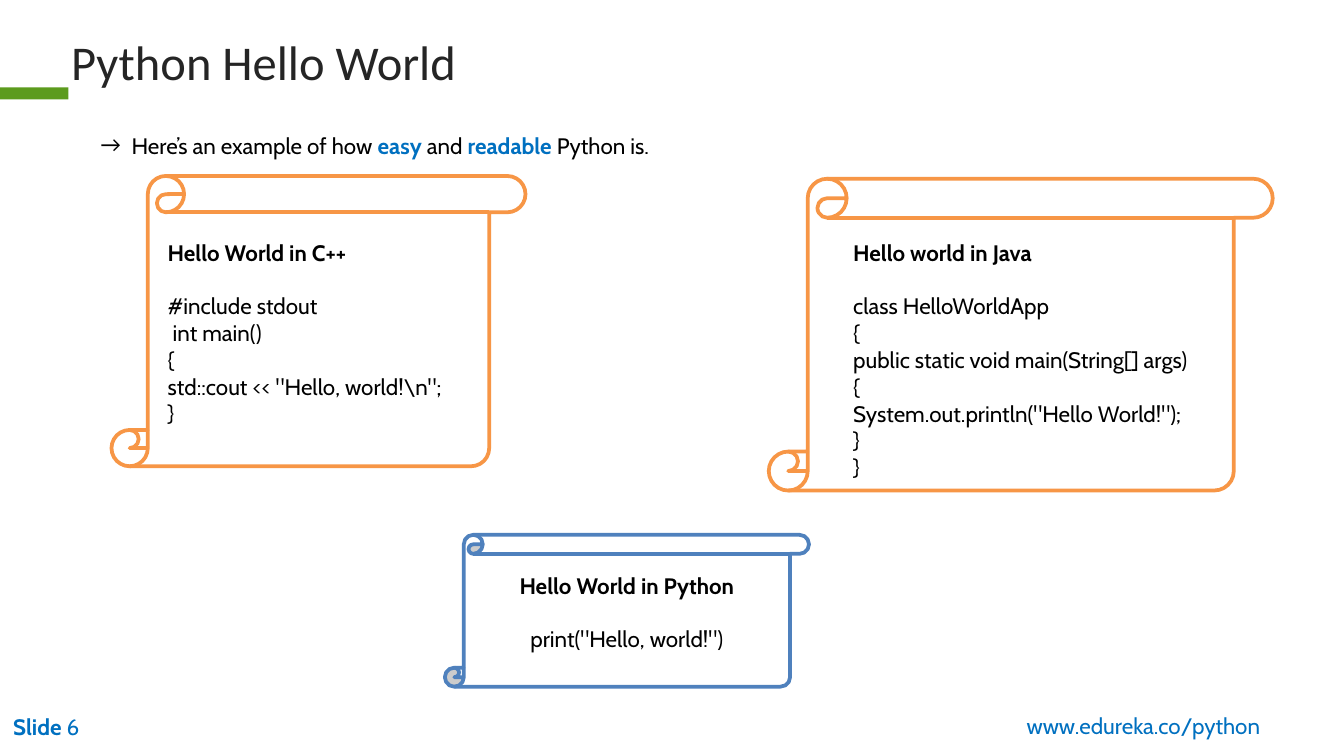
from lxml.etree import SubElement
from pptx import Presentation
from pptx.dml.color import RGBColor
from pptx.enum.shapes import MSO_SHAPE as Shape
from pptx.enum.text import PP_ALIGN as Align
from pptx.oxml.ns import qn
from pptx.util import Inches, Pt

BLACK = RGBColor(0x00, 0x00, 0x00)
WHITE = RGBColor(0xFF, 0xFF, 0xFF)
CHARCOAL = RGBColor(0x25, 0x25, 0x25)
GREEN = RGBColor(0x5C, 0x9B, 0x1D)
LINK_BLUE = RGBColor(0x00, 0x70, 0xC0)
ORANGE = RGBColor(0xF7, 0x96, 0x46)
STEEL_BLUE = RGBColor(0x4F, 0x81, 0xBD)

# Spans are (text, bold, colour)
TITLE = [("Python Hello World", False, CHARCOAL)]
INTRO = [
    ("Here’s an example of how ", False, BLACK),
    ("easy", True, LINK_BLUE),
    (" and ", False, BLACK),
    ("readable", True, LINK_BLUE),
    (" Python is.", False, BLACK),
]
SLIDE_NUMBER = [("Slide ", True, LINK_BLUE), ("6", False, LINK_BLUE)]
ADDRESS = [("www.edureka.co/python", False, LINK_BLUE)]

SCROLLS = [
    {
        "heading": "Hello World in C++",
        "code": ["#include stdout", " int main()", "{",
                 'std::cout << "Hello, world!\\n";', "}"],
        "scroll": (0.83, 1.31, 3.08, 2.16), "text": (1.15, 1.73, 2.5, 1.5),
        "line": ORANGE, "fill": None, "align": Align.LEFT,
    },
    {
        "heading": "Hello world in Java",
        "code": ["class HelloWorldApp", "{",
                 "public static void main(String[] args)", "{",
                 'System.out.println("Hello World!");', "}", "}"],
        "scroll": (5.72, 1.33, 3.75, 2.32), "text": (6.25, 1.73, 3, 1.92),
        "line": ORANGE, "fill": None, "align": Align.LEFT,
    },
    {
        "heading": "Hello World in Python",
        "code": ['print("Hello, world!")'],
        "scroll": (3.31, 3.98, 2.71, 1.13), "text": (3.5, 4.21, 2.33, 0.71),
        "line": STEEL_BLUE, "fill": WHITE, "align": Align.CENTER,
    },
]


def add_text(page, place, lines, font="Cabin", size=12, align=Align.LEFT, inset=True):
    """Add a text box with one paragraph per list of spans."""
    frame = page.shapes.add_textbox(*map(Inches, place)).text_frame
    frame.word_wrap = True
    if not inset:
        frame.margin_left = frame.margin_right = 0
        frame.margin_top = frame.margin_bottom = 0
    for index, spans in enumerate(lines):
        para = frame.add_paragraph() if index else frame.paragraphs[0]
        para.alignment = align
        for text, bold, colour in spans:
            span = para.add_run()
            span.text = text
            span.font.name = font
            span.font.size = Pt(size)
            span.font.bold = bold
            span.font.color.rgb = colour
    return frame


def add_shape(page, kind, place, fill=None, line=None):
    shape = page.shapes.add_shape(kind, *map(Inches, place))
    shape.shadow.inherit = False
    if fill is None:
        shape.fill.background()
    else:
        shape.fill.solid()
        shape.fill.fore_color.rgb = fill
    if line is None:
        shape.line.fill.background()
    else:
        shape.line.color.rgb = line
        shape.line.width = Pt(2)


def add_bullet(para, symbol, indent):
    properties = para._p.get_or_add_pPr()
    properties.set("marL", str(Inches(indent)))
    properties.set("indent", str(-Inches(indent)))
    SubElement(properties, qn("a:buFont")).set("typeface", "Calibri")
    SubElement(properties, qn("a:buChar")).set("char", symbol)


def add_code_scroll(page, item):
    add_shape(page, Shape.VERTICAL_SCROLL, item["scroll"], item["fill"], item["line"])
    lines = [[(item["heading"], True, BLACK)]]
    lines += [[(code, False, BLACK)] for code in item["code"]]
    frame = add_text(page, item["text"], lines, align=item["align"])
    frame.paragraphs[0].space_after = Pt(14)


def main():
    deck = Presentation()
    deck.slide_width = Inches(10)
    deck.slide_height = deck.slide_width * 9 // 16
    page = deck.slides.add_slide(deck.slide_layouts[6])

    add_shape(page, Shape.RECTANGLE, (0, 0.65, 0.51, 0.09), GREEN)
    add_text(page, (0.53, 0.24, 8.94, 0.44), [TITLE], "Calibri", 26, inset=False)
    intro = add_text(page, (0.75, 0.98, 7.8, 0.25), [INTRO], inset=False)
    add_bullet(intro.paragraphs[0], "→", 0.23)
    for item in SCROLLS:
        add_code_scroll(page, item)
    add_text(page, (0, 5.26, 1.58, 0.3), [SLIDE_NUMBER])
    add_text(page, (7.54, 5.25, 2.4, 0.3), [ADDRESS])

    deck.save("out.pptx")


if __name__ == "__main__":
    main()
